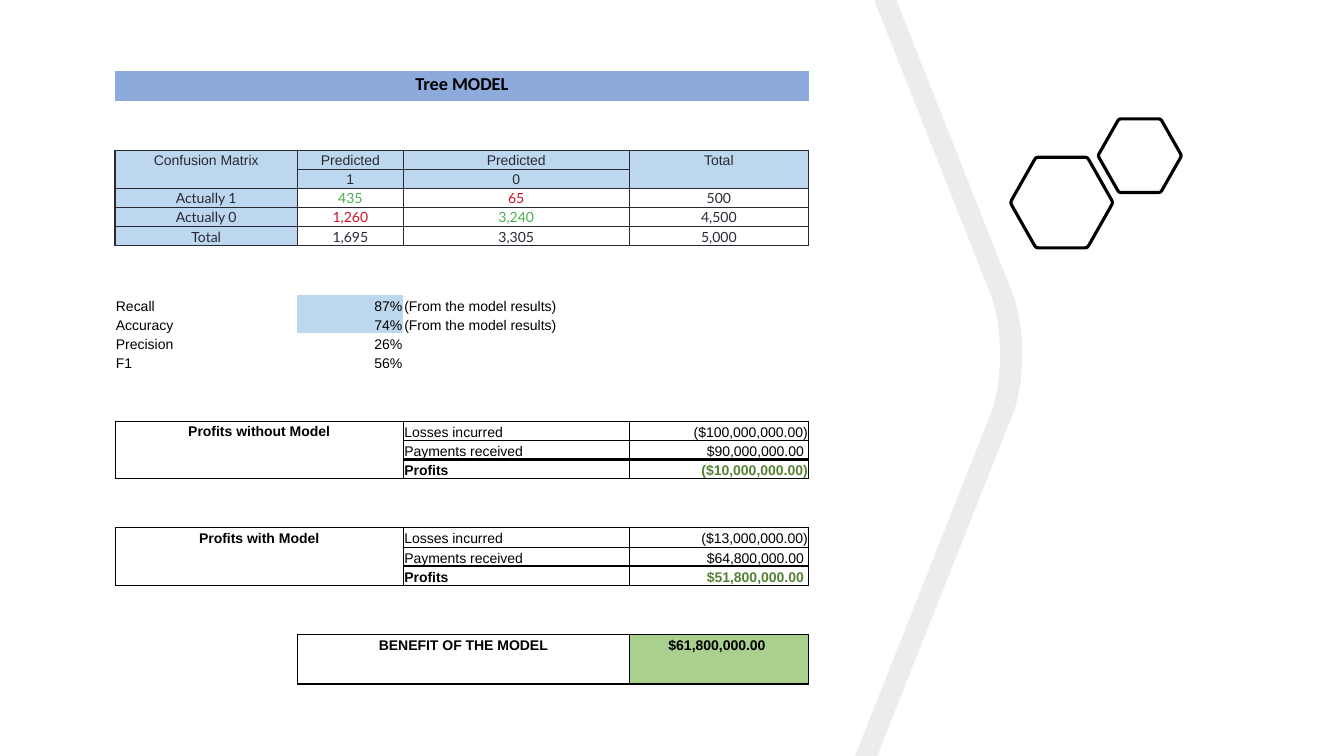
import pptx
import pptx.util
import pptx.oxml
import pptx.oxml.ns
import pptx.dml.color
import pptx.enum.text
import lxml.etree

Inches, Pt = pptx.util.Inches, pptx.util.Pt
ALIGN = pptx.enum.text.PP_ALIGN
ANCHOR = pptx.enum.text.MSO_ANCHOR

COLOURS = {
    "title": "8EA9DB", "pale": "BDD7EE", "benefit": "A9D08E", "ink": "292934",
    "black": "000000", "good": "4CAF50", "bad": "CE1228", "profit": "548235",
    "band": "808080",
}

TABLE_BOX = (1.14, 0.7, 6.88, 6.09)
COLUMN_WIDTHS = [1.81, 1.05, 2.24, 1.78]
TITLE_HEIGHT, LINE_HEIGHT, GAP_HEIGHT = 0.3, 0.19, 0.49
GAP = [GAP_HEIGHT / 2] * 2
ROW_HEIGHTS = ([TITLE_HEIGHT] + GAP + [LINE_HEIGHT] * 5 + GAP + [LINE_HEIGHT] * 4
               + GAP + [LINE_HEIGHT] * 3 + GAP + [LINE_HEIGHT] * 3 + GAP * 2)
MATRIX_ROW, METRIC_ROW, BENEFIT_ROW = 3, 10, 26

CONFUSION = [
    ("Actually\u00a01", "435", "65", "500"),
    ("Actually\u00a00", "1,260", "3,240", "4,500"),
    ("Total", "1,695", "3,305", "5,000"),
]
CONFUSION_COLOURS = [("ink", "good", "bad", "ink"), ("ink", "bad", "good", "ink"), ("ink",) * 4]
METRICS = [
    ("Recall", "87%", "(From the model results)"),
    ("Accuracy", "74%", "(From the model results)"),
    ("Precision", "26%", ""),
    ("F1", "56%", ""),
]
PROFIT_BLOCKS = [
    (16, "Profits without Model", [("Losses incurred", "($100,000,000.00)"),
                                   ("Payments received", "$90,000,000.00 "),
                                   ("Profits", "($10,000,000.00)")]),
    (21, "Profits with Model", [("Losses incurred", "($13,000,000.00)"),
                                ("Payments received", "$64,800,000.00 "),
                                ("Profits", "$51,800,000.00 ")]),
]
BAND_EDGE = [(8.89, 0), (10.05, 2.93), (10.17, 3.27), (10.17, 3.77), (10.05, 4.1), (8.7, 7.5)]
BAND_WIDTH = 0.22
HEXAGONS = [(10.02, 1.56, 1.02, 0.9), (10.89, 1.18, 0.83, 0.73)]
HEXAGON_CORNERS = [(0.25, 0), (0.75, 0), (1, 0.5), (0.75, 1), (0.25, 1), (0, 0.5)]
CORNER_SHARE = 0.1


def rgb(name):
    return pptx.dml.color.RGBColor.from_string(COLOURS[name])


def curve(start, first, second, end, steps=12):
    """Return points along a cubic Bezier curve."""
    points = []
    for step in range(steps + 1):
        t = step / steps
        weights = ((1 - t) ** 3, 3 * t * (1 - t) ** 2, 3 * t * t * (1 - t), t ** 3)
        points.append(tuple(sum(w * p[axis] for w, p in zip(weights, (start, first, second, end)))
                            for axis in (0, 1)))
    return points


def add_outline(shapes, points):
    pairs = [(Inches(x), Inches(y)) for x, y in points]
    builder = shapes.build_freeform(*pairs[0], scale=1.0)
    builder.add_line_segments(pairs[1:], close=True)
    shape = builder.convert_to_shape()
    shape.shadow.inherit = False
    return shape


def add_band(shapes):
    right = BAND_EDGE[:1] + curve(*BAND_EDGE[1:5]) + BAND_EDGE[5:]
    left = [(x - BAND_WIDTH, y) for x, y in reversed(right)]
    band = add_outline(shapes, right + left)
    band.line.fill.background()
    band.fill.solid()
    band.fill.fore_color.rgb = rgb("band")
    colour = band.fill._xPr.find(".//" + pptx.oxml.ns.qn("a:srgbClr"))
    lxml.etree.SubElement(colour, pptx.oxml.ns.qn("a:alpha")).set("val", "15000")


def add_hexagon(shapes, left, top, width, height):
    corners = [(left + x * width, top + y * height) for x, y in HEXAGON_CORNERS]
    points = []
    for index, corner in enumerate(corners):
        before, after = corners[index - 1], corners[(index + 1) % 6]
        enter, leave = (tuple(c + (n - c) * CORNER_SHARE for c, n in zip(corner, neighbour))
                        for neighbour in (before, after))
        points += curve(enter, corner, corner, leave, steps=6)
    hexagon = add_outline(shapes, points)
    hexagon.fill.background()
    hexagon.line.color.rgb = rgb("black")
    hexagon.line.width = Pt(2.25)


def write(cell, text, font="Arial", size=10, colour="black", bold=False,
          align=ALIGN.LEFT, anchor=ANCHOR.BOTTOM, fill=None, roomy=False):
    side, top, bottom = (0.06, 0.03, 0.03) if roomy else (0.01, 0.01, 0)
    cell.margin_left = cell.margin_right = Inches(side)
    cell.margin_top, cell.margin_bottom = Inches(top), Inches(bottom)
    cell.vertical_anchor = ANCHOR.TOP if roomy else anchor
    para = cell.text_frame.paragraphs[0]
    para.alignment = align
    if text:
        span = para.add_run()
        span.text = text
        span.font.name, span.font.size, span.font.bold = font, Pt(size), bold
        span.font.color.rgb = rgb(colour)
    else:
        end = lxml.etree.SubElement(para._p, pptx.oxml.ns.qn("a:endParaRPr"))
        end.set("sz", str(size * 100))
    if fill:
        cell.fill.solid()
        cell.fill.fore_color.rgb = rgb(fill)
    else:
        cell.fill.background()


def fill_contents():
    """Return text and format by (row, column), and merged ranges as (cell, cell)."""
    heading = dict(align=ALIGN.CENTER, roomy=True)
    centred = dict(align=ALIGN.CENTER, anchor=ANCHOR.MIDDLE)
    contents = {(0, 0): ("Tree MODEL", dict(heading, font="Calibri", size=13, bold=True, fill="title"))}
    merges = [((0, 0), (0, 3))]

    for column, text in ((0, "Confusion Matrix"), (3, "Total")):
        contents[MATRIX_ROW, column] = (text, dict(heading, colour="ink", fill="pale"))
        merges.append(((MATRIX_ROW, column), (MATRIX_ROW + 1, column)))
    for column, outcome in ((1, "1"), (2, "0")):
        for offset, text in enumerate(("Predicted", outcome)):
            contents[MATRIX_ROW + offset, column] = (text, dict(centred, colour="ink", fill="pale"))
    for row, (texts, colours) in enumerate(zip(CONFUSION, CONFUSION_COLOURS), MATRIX_ROW + 2):
        for column, (text, colour) in enumerate(zip(texts, colours)):
            contents[row, column] = (text, dict(centred, font="Lato", colour=colour,
                                                fill=None if column else "pale"))

    for row, (name, value, source) in enumerate(METRICS, METRIC_ROW):
        contents[row, 0] = (name, {})
        contents[row, 1] = (value, dict(align=ALIGN.RIGHT, fill="pale" if source else None))
        contents[row, 2] = (source, {})

    for first, title, lines in PROFIT_BLOCKS:
        contents[first, 0] = (title, dict(heading, bold=True))
        merges.append(((first, 0), (first + 2, 1)))
        for row, (name, amount) in enumerate(lines, first):
            total = name == "Profits"
            contents[row, 2] = (name, dict(bold=total))
            contents[row, 3] = (amount, dict(bold=total, align=ALIGN.RIGHT,
                                             colour="profit" if total else "black"))

    contents[BENEFIT_ROW, 1] = ("BENEFIT OF THE MODEL", dict(heading, bold=True))
    contents[BENEFIT_ROW, 3] = ("$61,800,000.00 ", dict(heading, bold=True, fill="benefit"))
    merges += [((BENEFIT_ROW, 1), (BENEFIT_ROW + 1, 2)), ((BENEFIT_ROW, 3), (BENEFIT_ROW + 1, 3))]
    return contents, merges


def plan_borders():
    """Return (colour, width) by (row, column, side)."""
    borders = {}
    grids = [(MATRIX_ROW, 5, 0, "ink", 1), (BENEFIT_ROW, 2, 1, "black", 1)]
    grids += [(first, 3, 0, "black", 0.5) for first, _, _ in PROFIT_BLOCKS]
    for first, count, left, colour, width in grids:
        for row in range(first, first + count):
            for column in range(left, 4):
                for side in "LRTB":
                    borders[row, column, side] = (colour, width)
    for column in (1, 2):
        del borders[MATRIX_ROW, column, "B"], borders[MATRIX_ROW + 1, column, "T"]
    for first, _, _ in PROFIT_BLOCKS:
        for column in (2, 3):
            borders[first + 1, column, "B"] = borders[first + 2, column, "T"] = ("black", 2)
    return borders


def draw_borders(table):
    counts = {}
    for (row, column, side), (colour, width) in plan_borders().items():
        properties = table.cell(row, column)._tc.get_or_add_tcPr()
        line = pptx.oxml.parse_xml(
            f'<a:ln{side} {pptx.oxml.ns.nsdecls("a")} w="{int(Pt(width))}"><a:solidFill>'
            f'<a:srgbClr val="{COLOURS[colour]}"/></a:solidFill></a:ln{side}>')
        position = counts.get((row, column), 0)
        properties.insert(position, line)
        counts[row, column] = position + 1


def add_model_table(shapes):
    frame = shapes.add_table(len(ROW_HEIGHTS), 4, *map(Inches, TABLE_BOX))
    table = frame.table
    table.first_row = table.horz_banding = False
    style = table._tbl.tblPr.find(pptx.oxml.ns.qn("a:tableStyleId"))
    style.text = "{2D5ABB26-0587-4C30-8999-92F81FD0307C}"
    for column, width in zip(table.columns, COLUMN_WIDTHS):
        column.width = Inches(width)
    for row, height in zip(table.rows, ROW_HEIGHTS):
        row.height = Inches(height)
    contents, merges = fill_contents()
    for row in range(len(ROW_HEIGHTS)):
        for column in range(4):
            text, style = contents.get((row, column), ("", {}))
            write(table.cell(row, column), text, **style)
    for start, end in merges:
        table.cell(*start).merge(table.cell(*end))
    draw_borders(table)


def main():
    deck = pptx.Presentation()
    deck.slide_width, deck.slide_height = Inches(13.33), Inches(7.5)
    page = deck.slides.add_slide(deck.slide_layouts[6])
    add_band(page.shapes)
    group = page.shapes.add_group_shape()
    for box in HEXAGONS:
        add_hexagon(group.shapes, *box)
    add_model_table(page.shapes)
    deck.save("out.pptx")


if __name__ == "__main__":
    main()
